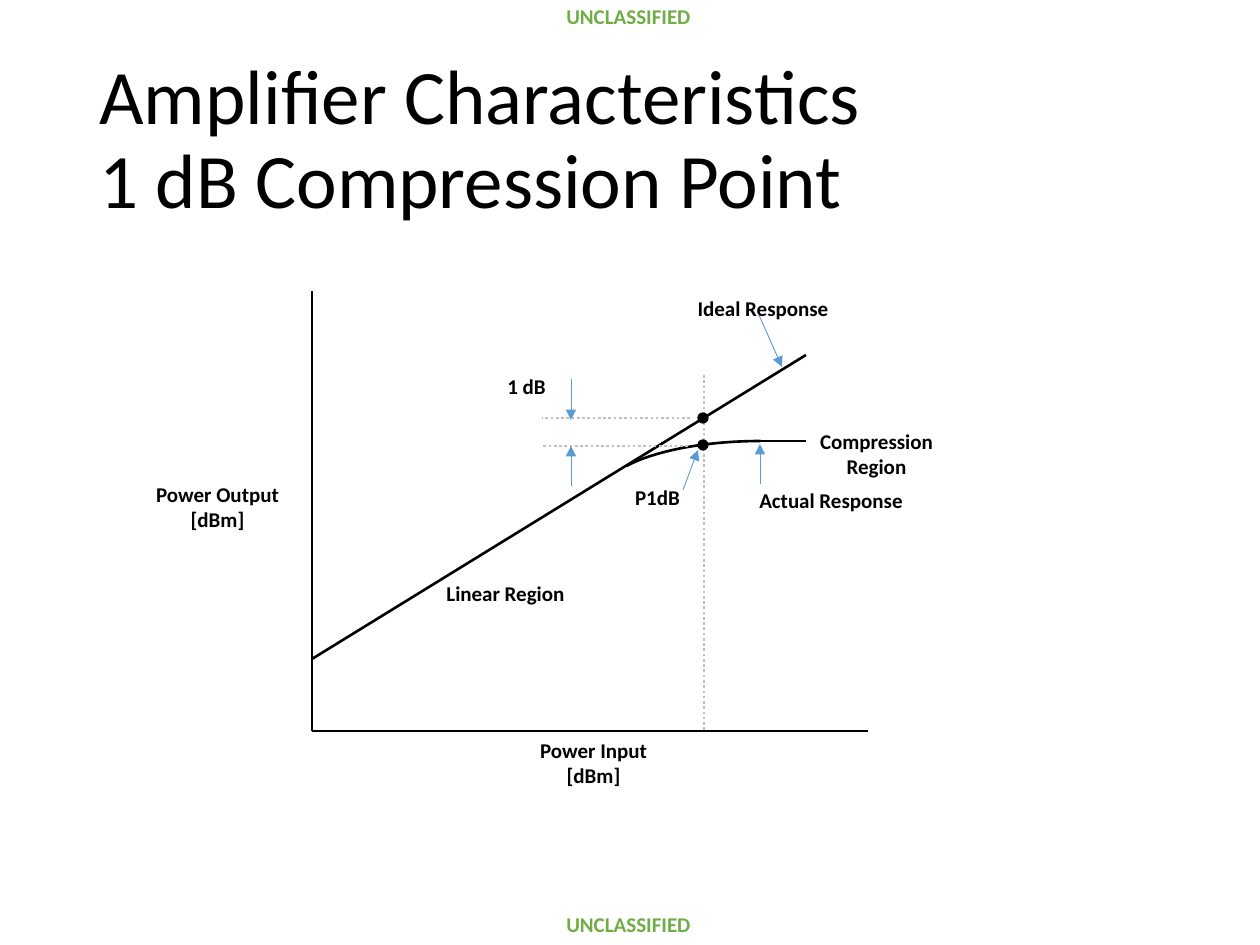
from lxml.etree import SubElement
from pptx import Presentation
from pptx.dml.color import RGBColor
from pptx.enum.dml import MSO_LINE
from pptx.enum.shapes import MSO_CONNECTOR, MSO_SHAPE
from pptx.enum.text import MSO_ANCHOR, PP_ALIGN
from pptx.oxml.ns import qn
from pptx.util import Emu, Pt

BLACK = RGBColor(0x00, 0x00, 0x00)
GRAY = RGBColor(0xBF, 0xBF, 0xBF)
BLUE = RGBColor(0x5B, 0x9B, 0xD5)
GREEN = RGBColor(0x70, 0xAD, 0x47)
FONT = "Calibri"


def px(n):
    """Turn pixels into EMU."""
    return Emu(round(n * 914400 / 126))


def add_text(slide, text, box, size=12, color=BLACK, bold=True,
             align=PP_ALIGN.CENTER, anchor=MSO_ANCHOR.TOP, space=1.0, wrap=True):
    """Add a text box with one look for all its paragraphs."""
    frame = slide.shapes.add_textbox(*map(px, box)).text_frame
    frame.word_wrap = wrap
    frame.vertical_anchor = anchor
    frame.text = text
    for para in frame.paragraphs:
        para.alignment = align
        para.line_spacing = space
        para.font.name = FONT
        para.font.size = Pt(size)
        para.font.bold = bold
        para.font.color.rgb = color


def add_line(slide, ends, color=BLACK, width=1.5, dash=None):
    """Add a straight line without a shadow and return it."""
    line = slide.shapes.add_connector(MSO_CONNECTOR.STRAIGHT, *map(px, ends))
    line.line.color.rgb = color
    line.line.width = Pt(width)
    if dash:
        line.line.dash_style = dash
    SubElement(line._element.spPr, qn("a:effectLst"))
    return line


def add_guide(slide, ends):
    """Add a dotted guide line."""
    add_line(slide, ends, GRAY, dash=MSO_LINE.ROUND_DOT)


def add_arrow(slide, ends):
    """Add a thin pointer with a triangle at its end."""
    arrow = add_line(slide, ends, BLUE, 0.5)
    SubElement(arrow.line._get_or_add_ln(), qn("a:tailEnd"), type="triangle")


def add_dot(slide, left, top):
    """Add a solid point marker."""
    dot = slide.shapes.add_shape(MSO_SHAPE.OVAL, px(left), px(top), px(10), px(10))
    dot.shadow.inherit = False
    dot.fill.solid()
    dot.fill.fore_color.rgb = BLACK
    dot.line.color.rgb = BLACK


def add_curve(slide, box):
    """Add the arc where the gain bends away from the ideal."""
    arc = slide.shapes.add_shape(MSO_SHAPE.ARC, *map(px, box))
    arc.adjustments[0] = 115.19
    arc.adjustments[1] = 161.85
    arc.shadow.inherit = False
    arc.fill.background()
    arc.line.color.rgb = BLACK
    arc.line.width = Pt(1.5)


def main():
    """Build the slide and save it."""
    deck = Presentation()
    deck.slide_width, deck.slide_height = px(1260), px(945)
    slide = deck.slides.add_slide(deck.slide_layouts[6])

    for top, anchor in ((1, MSO_ANCHOR.TOP), (908, MSO_ANCHOR.BOTTOM)):
        add_text(slide, "UNCLASSIFIED", (553, top, 151, 35), color=GREEN,
                 anchor=anchor, space=0.87, wrap=False)
    add_text(slide, "Amplifier Characteristics\v1 dB Compression Point",
             (87, 50, 1086, 183), size=44, bold=False, align=PP_ALIGN.LEFT,
             anchor=MSO_ANCHOR.MIDDLE, space=0.9)

    add_guide(slide, (704, 730, 704, 375))
    for ends in ((312, 731, 312, 291), (312, 731, 868, 731),
                 (312, 659, 806, 355), (760, 441, 806, 441)):
        add_line(slide, ends)
    add_curve(slide, (602, 441, 318, 107))
    for top in (413, 440):
        add_dot(slide, 698, top)
    for right, y in ((690, 418), (688, 446)):
        add_guide(slide, (right, y, 542, y))
    for ends in ((571, 379, 571, 420), (571, 486, 571, 446),
                 (760, 484, 760, 444), (759, 315, 782, 367),
                 (683, 490, 698, 450)):
        add_arrow(slide, ends)

    for text, box in (
        ("1 dB", (473, 367, 107, 38)),
        ("Linear Region", (426, 574, 159, 38)),
        ("Compression Region", (804, 422, 145, 63)),
        ("Ideal Response", (673, 289, 180, 38)),
        ("Actual Response", (741, 481, 180, 38)),
        ("P1dB", (606, 478, 103, 38)),
        ("Power Input\n[dBm]", (514, 731, 159, 63)),
        ("Power Output\n[dBm]", (138, 475, 159, 63)),
    ):
        add_text(slide, text, box)
    deck.save("out.pptx")


if __name__ == "__main__":
    main()
